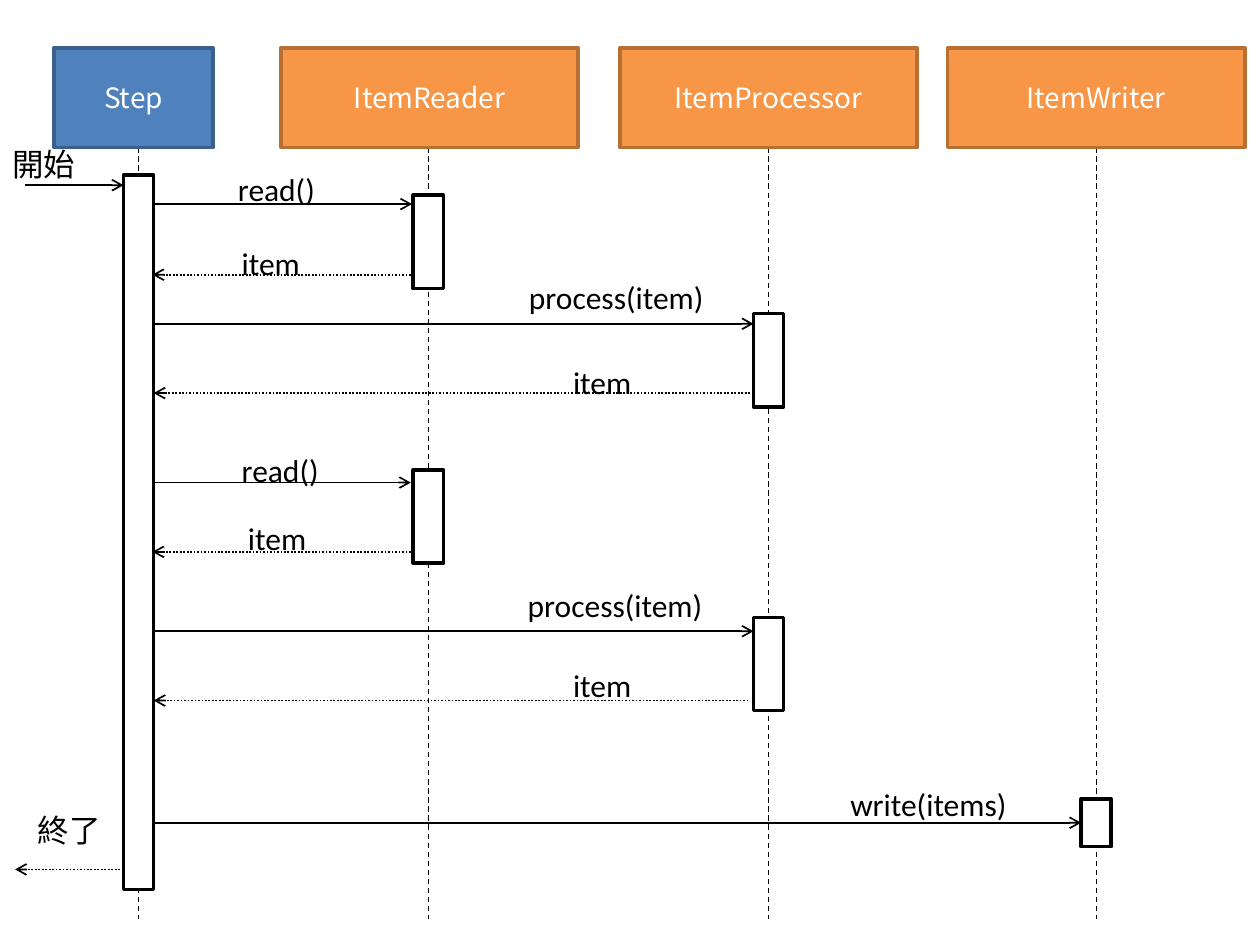
from typing import NamedTuple

from lxml import etree
from pptx import Presentation
from pptx.dml.color import RGBColor
from pptx.enum import dml, shapes, text
from pptx.oxml.ns import qn
from pptx.util import Inches, Pt

COLORS = {
    "black": "000000", "white": "FFFFFF",
    "step": "4F81BD", "step_edge": "3A5F8C",
    "item": "F79646", "item_edge": "B76F34",
}
CJK = "Noto Sans CJK JP"
HEAD_TOP, HEAD_H, LIFE_END = 0.38, 0.79, 7.29
BAR_W = 0.24
DASH = dml.MSO_LINE.DASH
DOTS = dml.MSO_LINE.ROUND_DOT


class Participant(NamedTuple):
    name: str
    left: float
    width: float
    axis: float
    color: str


class Activation(NamedTuple):
    axis: float
    top: float
    height: float


class Message(NamedTuple):
    label: str
    start: float
    end: float
    y: float
    label_left: float
    label_top: float
    label_width: float
    reply: bool = False


STEP, READER, PROCESSOR, WRITER = 1.1, 3.4, 6.1, 8.7
PARTICIPANTS = [
    Participant("Step", 0.43, 1.26, STEP, "step"),
    Participant("ItemReader", 2.23, 2.36, READER, "item"),
    Participant("ItemProcessor", 4.92, 2.36, PROCESSOR, "item"),
    Participant("ItemWriter", 7.52, 2.36, WRITER, "item"),
]
ACTIVATIONS = [
    Activation(STEP, 1.39, 5.67),
    Activation(READER, 1.55, 0.74),
    Activation(READER, 3.73, 0.74),
    Activation(PROCESSOR, 2.49, 0.74),
    Activation(PROCESSOR, 4.9, 0.74),
    Activation(WRITER, 6.34, 0.38),
]
MESSAGES = [
    Message("開始", 0.2, 0.98, 1.47, 0, 1.1, 0.71),
    Message("read()", 1.22, 3.27, 1.62, 1.79, 1.3, 0.82),
    Message("item", 3.26, 1.21, 2.18, 1.82, 1.89, 0.67, True),
    Message("process(item)", 1.22, 5.98, 2.57, 4.1, 2.16, 1.6),
    Message("item", 5.98, 1.22, 3.12, 4.45, 2.83, 0.67, True),
    Message("read()", 1.21, 3.26, 3.83, 1.82, 3.53, 0.82),
    Message("item", 3.26, 1.21, 4.38, 1.87, 4.07, 0.67, True),
    Message("process(item)", 1.22, 5.98, 5.01, 4.09, 4.6, 1.6),
    Message("item", 5.94, 1.22, 5.56, 4.45, 5.24, 0.67, True),
    Message("write(items)", 1.22, 8.58, 6.53, 6.65, 6.18, 1.46),
    Message("終了", 0.98, 0.12, 6.9, 0.2, 6.39, 0.71, True),
]


def rgb(name: str) -> RGBColor:
    return RGBColor.from_string(COLORS[name])


def write(tf, content: str, *, size=18, font="Calibri", color="black",
          align=text.PP_ALIGN.LEFT, anchor=text.MSO_ANCHOR.TOP) -> None:
    tf.vertical_anchor = anchor
    p = tf.paragraphs[0]
    p.alignment = align
    r = p.add_run()
    r.text = content
    r.font.size = Pt(size)
    r.font.name = font
    r.font.color.rgb = rgb(color)
    etree.SubElement(r.font._element, qn("a:ea"), typeface=CJK)


def add_box(s, left: float, top: float, width: float, height: float,
            fill: str, edge: str):
    sp = s.shapes.add_shape(shapes.MSO_SHAPE.RECTANGLE, Inches(left),
                            Inches(top), Inches(width), Inches(height))
    sp.shadow.inherit = False
    sp.fill.solid()
    sp.fill.fore_color.rgb = rgb(fill)
    sp.line.color.rgb = rgb(edge)
    sp.line.width = Pt(2)
    return sp


def add_line(s, x1: float, y1: float, x2: float, y2: float, *,
             width=1.0, dash=None, arrow=False) -> None:
    cx = s.shapes.add_connector(shapes.MSO_CONNECTOR.STRAIGHT, Inches(x1),
                                Inches(y1), Inches(x2), Inches(y2))
    cx.line.color.rgb = rgb("black")
    cx.line.width = Pt(width)
    if dash is not None:
        cx.line.dash_style = dash
    if arrow:
        etree.SubElement(cx.line._get_or_add_ln(), qn("a:tailEnd"), type="arrow")
    etree.SubElement(cx._element.spPr, qn("a:effectLst"))


def add_participant(s, item: Participant) -> None:
    sp = add_box(s, item.left, HEAD_TOP, item.width, HEAD_H,
                 item.color, f"{item.color}_edge")
    write(sp.text_frame, item.name, size=16, font=CJK, color="white",
          align=text.PP_ALIGN.CENTER, anchor=text.MSO_ANCHOR.MIDDLE)


def add_message(s, msg: Message) -> None:
    add_line(s, msg.start, msg.y, msg.end, msg.y,
             dash=DOTS if msg.reply else None, arrow=True)
    tb = s.shapes.add_textbox(Inches(msg.label_left), Inches(msg.label_top),
                              Inches(msg.label_width), Inches(0.4))
    tf = tb.text_frame
    tf.word_wrap = False
    tf.auto_size = text.MSO_AUTO_SIZE.SHAPE_TO_FIT_TEXT
    write(tf, msg.label)


def main() -> None:
    prs = Presentation()
    prs.slide_width, prs.slide_height = Inches(10), Inches(7.5)
    s = prs.slides.add_slide(prs.slide_layouts[6])
    for item in PARTICIPANTS:
        add_line(s, item.axis, HEAD_TOP + HEAD_H, item.axis, LIFE_END,
                 width=0.75, dash=DASH)
    for item in PARTICIPANTS:
        add_participant(s, item)
    for bar in ACTIVATIONS:
        add_box(s, bar.axis - BAR_W / 2, bar.top, BAR_W, bar.height,
                "white", "black")
    for msg in MESSAGES:
        add_message(s, msg)
    prs.save("out.pptx")


if __name__ == "__main__":
    main()
